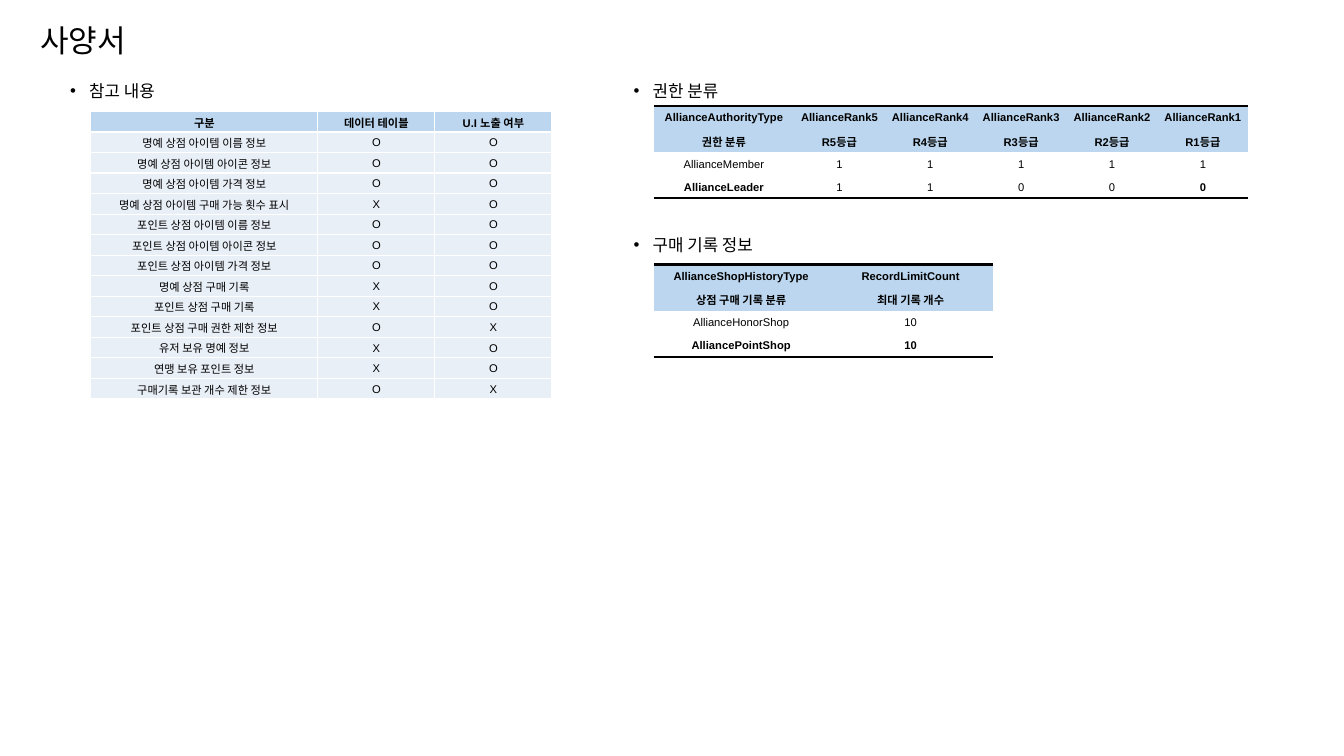
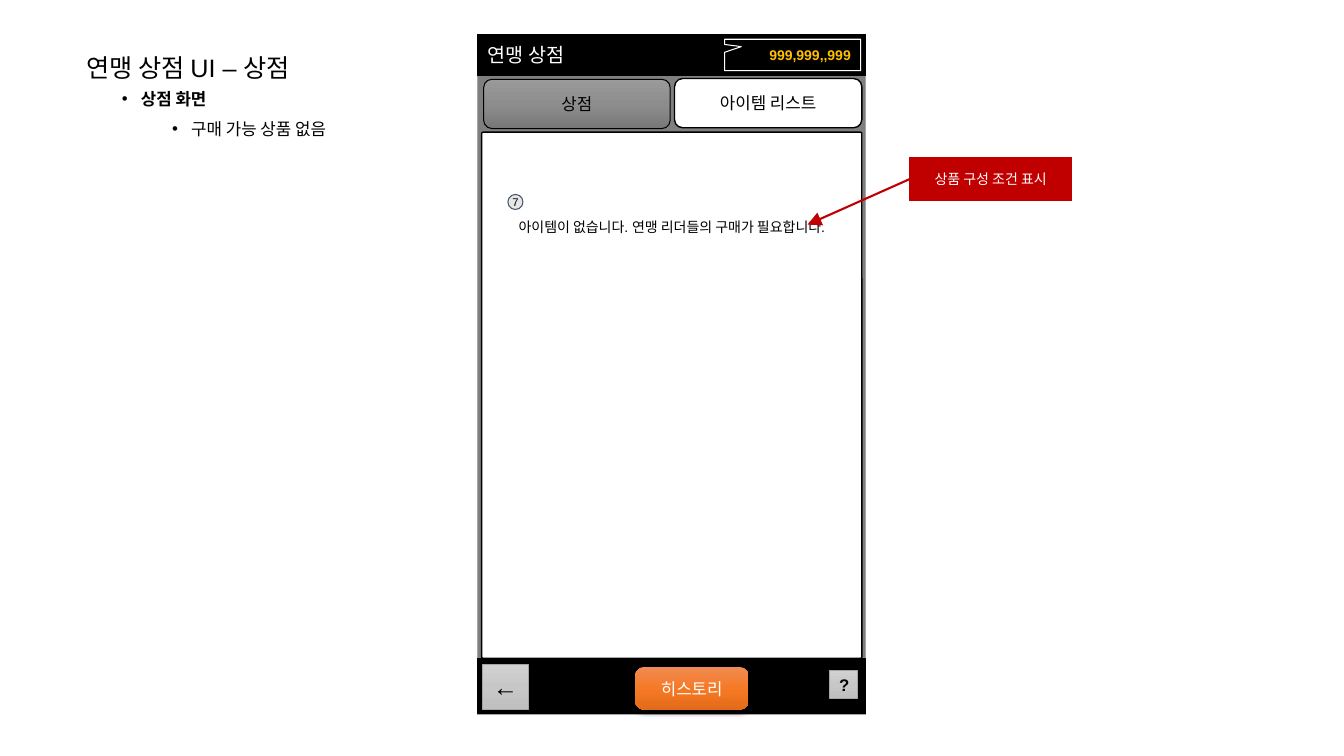
"""Build the two alliance shop specification slides."""
from copy import deepcopy

from pptx import Presentation
from pptx.dml.color import RGBColor
from pptx.enum.shapes import MSO_CONNECTOR, MSO_SHAPE as SHAPE
from pptx.enum.text import MSO_ANCHOR as ANCHOR, PP_ALIGN as ALIGN
from pptx.oxml.ns import qn
from pptx.oxml.xmlchemy import OxmlElement
from pptx.util import Cm, Pt

COLORS = {
    "black": "000000", "white": "FFFFFF", "header": "BBD6EE", "cell": "E9EFF7",
    "frame": "7F7F7F", "edge": "A5A5A5", "red": "C00000", "gold": "FFC000",
    "badge": "E7E6E6", "navy": "44546A",
}
GRADIENTS = {
    "silver": ("D1D1D1", "C7C7C7", "C0C0C0"),
    "gray": ("9A9A9A", "8D8D8D", "787878"),
    "orange": ("F08B54", "F67A26", "E36A18"),
}
FONT = "Arial"


def rgb(name):
    return RGBColor.from_string(COLORS[name])


def add_xml(parent, tag, **attrs):
    el = OxmlElement(tag)
    for key, value in attrs.items():
        el.set(key, str(value))
    parent.append(el)
    return el


def write(tf, text, size=12, color="black", bold=False, align=ALIGN.LEFT,
          spacing=None, bullet_level=None):
    p = tf.add_paragraph() if tf.text else tf.paragraphs[0]
    if bullet_level is not None:
        p.level = bullet_level
        pPr = p._p.get_or_add_pPr()
        pPr.set("marL", str(Cm(0.48 + 1.27 * bullet_level)))
        pPr.set("indent", str(Cm(-0.48)))
        add_xml(add_xml(pPr, "a:buClr"), "a:srgbClr", val=COLORS["black"])
        add_xml(pPr, "a:buFont", typeface=FONT)
        add_xml(pPr, "a:buChar", char="•")
    p.alignment = align
    if spacing:
        p.line_spacing = spacing
    r = p.add_run()
    r.text = text
    r.font.name = FONT
    r.font.size = Pt(size)
    r.font.bold = bold
    r.font.color.rgb = rgb(color)


class Deck:
    def __init__(self):
        self.prs = Presentation()
        self.prs.slide_width, self.prs.slide_height = Cm(33.87), Cm(19.05)

    def new_slide(self):
        self.slide = self.prs.slides.add_slide(self.prs.slide_layouts[6])
        self.shapes = self.slide.shapes

    def start_group(self):
        self.shapes = self.slide.shapes.add_group_shape().shapes

    def end_group(self):
        self.shapes = self.slide.shapes

    def text(self, box, *lines, **fmt):
        tf = self.shapes.add_textbox(*map(Cm, box)).text_frame
        tf.word_wrap = True
        for line in lines:
            write(tf, line, **fmt)
        return tf

    def title(self, box, text, size, spacing):
        self.text(box, text, size=size, spacing=spacing)

    def bullets(self, box, *lines, bold_first=False):
        tf = self.text(box)
        for level, line in enumerate(lines):
            write(tf, line, bold=bold_first and level == 0, spacing=1.5, bullet_level=level)

    def badge(self, box, label):
        left, top, width, height = box
        self.shape(SHAPE.OVAL, box, "badge", "navy")
        pad = 0.2
        tf = self.text((left - pad, top - pad, width + 2 * pad, height + 2 * pad),
                       label, size=8, align=ALIGN.CENTER)
        tf.margin_left = tf.margin_right = tf.margin_top = tf.margin_bottom = 0
        tf.vertical_anchor = ANCHOR.MIDDLE

    def shape(self, kind, box, fill, line=None, width=0.75, text="", adj=(), top=None,
              align=ALIGN.CENTER, **fmt):
        sp = self.shapes.add_shape(kind, *map(Cm, box))
        sp.shadow.inherit = False
        for i, value in enumerate(adj):
            sp.adjustments[i] = value
        if fill in GRADIENTS:
            self.gradient(sp, GRADIENTS[fill])
        else:
            sp.fill.solid()
            sp.fill.fore_color.rgb = rgb(fill)
        if line:
            sp.line.color.rgb = rgb(line)
            sp.line.width = Pt(width)
        else:
            sp.line.fill.background()
        if text:
            tf = sp.text_frame
            tf.word_wrap = True
            tf.vertical_anchor = ANCHOR.MIDDLE if top is None else ANCHOR.TOP
            if top is not None:
                tf.margin_top = Cm(top)
            write(tf, text, align=align, **fmt)
        return sp

    def gradient(self, sp, stops):
        sp.fill.gradient()
        sp.fill.gradient_angle = 270
        gs_list = sp._element.spPr.find(".//" + qn("a:gsLst"))
        gs_list.insert(1, deepcopy(gs_list[0]))
        for i, (stop, color) in enumerate(zip(sp.fill.gradient_stops, stops)):
            stop.color.rgb = RGBColor.from_string(color)
            stop.position = i / 2

    def drop_shadow(self, sp):
        effects = sp._element.spPr.find(qn("a:effectLst"))
        shadow = add_xml(effects, "a:outerShdw", blurRad=Pt(4.5), dist=Pt(1.5),
                         dir=5400000, algn="ctr", rotWithShape=0)
        add_xml(add_xml(shadow, "a:srgbClr", val=COLORS["black"]), "a:alpha", val=63000)

    def arrow(self, source, side, end, color):
        x, y = map(Cm, end)
        cn = self.shapes.add_connector(MSO_CONNECTOR.STRAIGHT, x, y, x, y)
        cn.begin_connect(source, side)
        cn.line.color.rgb = rgb(color)
        cn.line.width = Pt(1.5)
        add_xml(cn.line._get_or_add_ln(), "a:tailEnd", type="triangle", w="lg", len="lg")
        add_xml(cn._element.spPr, "a:effectLst")

    def borders(self, cell, sides):
        tcPr = cell._tc.get_or_add_tcPr()
        for side in "LRTB":
            color, width = sides.get(side, (None, 0))
            ln = add_xml(tcPr, f"a:ln{side}", w=Pt(width))
            if color:
                add_xml(add_xml(ln, "a:solidFill"), "a:srgbClr", val=COLORS[color])
            else:
                add_xml(ln, "a:noFill")

    def table(self, left, top, height, widths, rows, headers=1, body="cell", ruled=False):
        last_row, last_col = len(rows) - 1, len(widths) - 1
        table = self.shapes.add_table(len(rows), len(widths), Cm(left), Cm(top),
                                      Cm(sum(widths)), Cm(height)).table
        table.first_row = table.horz_banding = False
        for column, width in zip(table.columns, widths):
            column.width = Cm(width)
        for i, row in enumerate(rows):
            table.rows[i].height = Cm(height / len(rows))
            for j, text in enumerate(row):
                cell = table.cell(i, j)
                if ruled:
                    sides = {0: {"T": ("black", 2)}, last_row: {"B": ("black", 2)}}.get(i, {})
                else:
                    sides = dict.fromkeys("LRTB", ("white", 1))
                self.borders(cell, sides)
                cell.fill.solid()
                cell.fill.fore_color.rgb = rgb("header" if i < headers else body)
                cell.margin_left = cell.margin_right = cell.margin_top = Cm(0.03)
                cell.margin_bottom = 0
                cell.vertical_anchor = ANCHOR.MIDDLE
                corner = ruled and i == last_row and j in (0, last_col)
                write(cell.text_frame, text, size=8, bold=i < headers or corner,
                      align=ALIGN.CENTER)


def spec_slide(deck):
    deck.new_slide()
    deck.title((0.76, 0.03, 12.27, 1.63), "사양서", 22.2, 1.4)

    ruled = dict(headers=2, body="white", ruled=True)
    deck.bullets((15.72, 1.65, 5.49, 1.02), "권한 분류")
    ranks = range(5, 0, -1)
    deck.table(16.48, 2.67, 2.32, [3.53] + [2.29] * 5, [
        ["AllianceAuthorityType"] + [f"AllianceRank{n}" for n in ranks],
        ["권한 분류"] + [f"R{n}등급" for n in ranks],
        ["AllianceMember", *"11111"],
        ["AllianceLeader", *"11000"],
    ], **ruled)

    deck.bullets((15.72, 5.54, 5.49, 0.91), "구매 기록 정보")
    deck.table(16.48, 6.67, 2.32, [4.4, 4.14], [
        ["AllianceShopHistoryType", "RecordLimitCount"],
        ["상점 구매 기록 분류", "최대 기록 개수"],
        ["AllianceHonorShop", "10"],
        ["AlliancePointShop", "10"],
    ], **ruled)

    deck.bullets((1.52, 1.65, 5.49, 0.91), "참고 내용")
    deck.table(2.29, 2.81, 7.24, [5.72, 2.95, 2.95], [
        ["구분", "데이터 테이블", "U.I 노출 여부"],
        ["명예 상점 아이템 이름 정보", *"OO"],
        ["명예 상점 아이템 아이콘 정보", *"OO"],
        ["명예 상점 아이템 가격 정보", *"OO"],
        ["명예 상점 아이템 구매 가능 횟수 표시", *"XO"],
        ["포인트 상점 아이템 이름 정보", *"OO"],
        ["포인트 상점 아이템 아이콘 정보", *"OO"],
        ["포인트 상점 아이템 가격 정보", *"OO"],
        ["명예 상점 구매 기록", *"XO"],
        ["포인트 상점 구매 기록", *"XO"],
        ["포인트 상점 구매 권한 제한 정보", *"OX"],
        ["유저 보유 명예 정보", *"XO"],
        ["연맹 보유 포인트 정보", *"XO"],
        ["구매기록 보관 개수 제한 정보", *"OX"],
    ])


def shop_slide(deck):
    deck.new_slide()
    deck.title((1.93, 0.81, 6.22, 1.27), "연맹 상점 UI – 상점", 18, 1.5)
    deck.bullets((2.82, 1.85, 8.92, 1.8), "상점 화면", "구매 가능 상품 없음", bold_first=True)

    deck.start_group()
    left, width = 12.04, 9.78
    deck.shape(SHAPE.RECTANGLE, (left, 0.86, width, 17.15), "frame", "edge")
    deck.shape(SHAPE.RECTANGLE, (left, 0.86, width, 1.04), "black", "black",
               text="연맹 상점", size=14, color="white", align=ALIGN.LEFT)
    deck.shape(SHAPE.RECTANGLE, (left, 16.59, width, 1.4), "black", "black")
    deck.shape(SHAPE.RECTANGLE, (20.9, 16.89, 0.71, 0.71), "silver", "edge",
               text="?", bold=True)
    deck.shape(SHAPE.ROUNDED_RECTANGLE, (12.14, 3.33, 9.58, 13.26), "white", "black", 1,
               text="아이템이 없습니다. 연맹 리더들의 구매가 필요합니다.",
               size=10, top=2.16, adj=[0.004])
    deck.shape(SHAPE.RECTANGLE, (12.17, 16.74, 1.14, 1.14), "silver", "edge",
               text="←", size=18)
    deck.shape(SHAPE.ROUNDED_RECTANGLE, (12.19, 2, 4.7, 1.24), "gray", "black",
               text="상점")
    deck.shape(SHAPE.ROUNDED_RECTANGLE, (17, 1.98, 4.72, 1.24), "white", "black", 1,
               text="아이템 리스트")
    deck.shape(SHAPE.RECTANGULAR_CALLOUT, (18.26, 0.99, 3.43, 0.79), "black", "white",
               text="999,999,,999", size=10, color="gold", bold=True,
               align=ALIGN.RIGHT, adj=[-0.377, -0.264])
    history = deck.shape(SHAPE.ROUNDED_RECTANGLE, (16, 16.8, 2.87, 1.09), "orange",
                         text="히스토리", color="white", adj=[0.23])
    deck.drop_shadow(history)
    deck.end_group()

    note = deck.shape(SHAPE.RECTANGLE, (22.92, 3.97, 4.09, 1.09), "red", "red", 1,
                      text="상품 구성 조건 표시", size=10, color="white")
    deck.arrow(note, 1, (20.35, 5.66), "red")
    deck.badge((12.8, 4.9, 0.38, 0.38), "7")


def main():
    deck = Deck()
    spec_slide(deck)
    shop_slide(deck)
    deck.prs.save("out.pptx")


if __name__ == "__main__":
    main()
